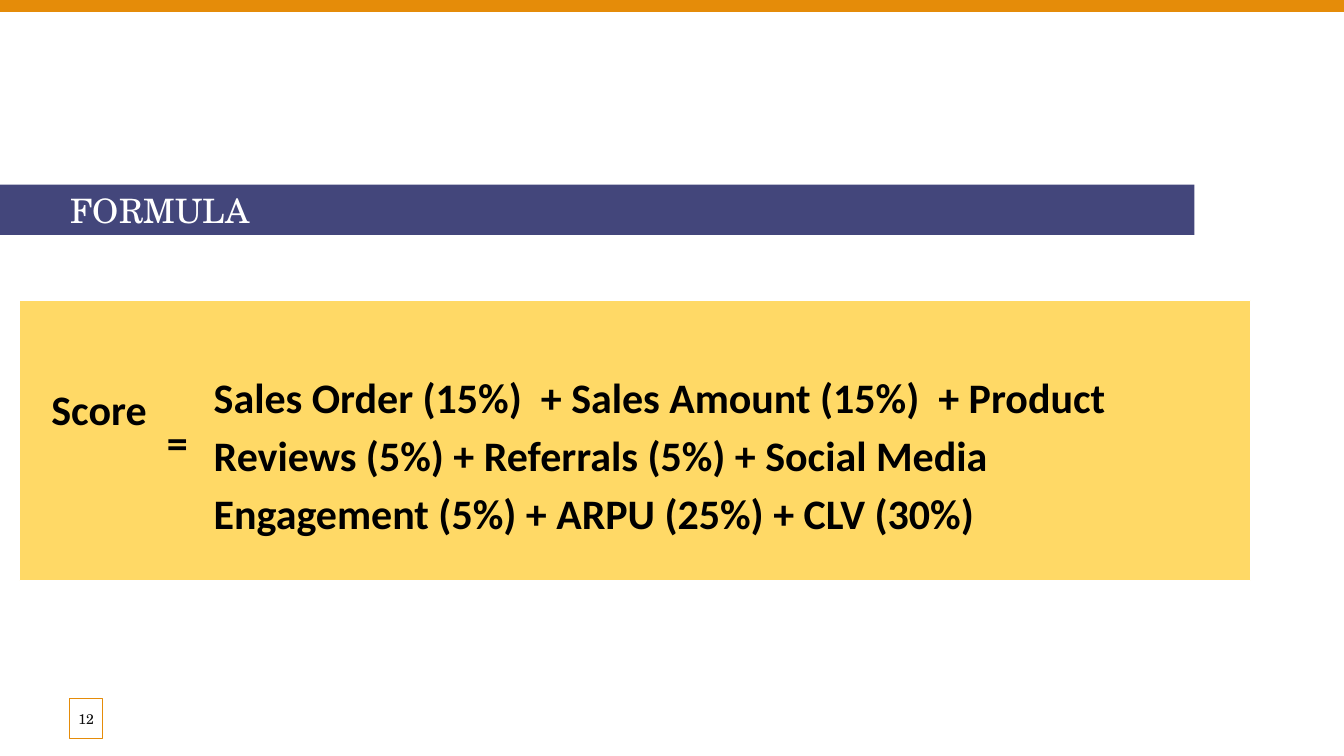
from pptx import Presentation
from pptx.dml.color import RGBColor
from pptx.enum.shapes import MSO_SHAPE as SHAPE
from pptx.enum.text import MSO_ANCHOR as ANCHOR, MSO_AUTO_SIZE as AUTO, PP_ALIGN as ALIGN
from pptx.util import Pt

# Content
TITLE = "FORMULA"
PAGE = "12"
SERIF = "TeX Gyre Schola"
BODY = {"name": "Calibri", "size": Pt(30), "bold": True}
# text, left, top, width, space above the text, lines, alignment
FORMULA = [
    ("Sales Order (15%)  + Sales Amount (15%)  + Product Reviews (5%) + "
     "Referrals (5%) + Social Media Engagement (5%) + ARPU (25%) + CLV (30%)",
     145.6, 210.2, 720.7, 49.8, 3, ALIGN.LEFT),
    ("Score", 29.6, 208.8, 97.2, 85.6, 1, ALIGN.LEFT),
    ("=", 91.4, 214.6, 70.6, 121.2, 1, ALIGN.CENTER),
]
LINE_HEIGHT = 42
INSET = 7.2


def rgb(value):
    return RGBColor.from_string(value)


def place(sp, left, top, width, height):
    for name, value in zip(("left", "top", "width", "height"), (left, top, width, height)):
        setattr(sp, name, Pt(value))


def add_rect(left, top, width, height, fill, line=None):
    sp = s.shapes.add_shape(SHAPE.RECTANGLE, Pt(left), Pt(top), Pt(width), Pt(height))
    sp.shadow.inherit = False
    sp.fill.solid()
    sp.fill.fore_color.rgb = rgb(fill)
    if line:
        sp.line.color.rgb = rgb(line)
        sp.line.width = Pt(0.75)
    else:
        sp.line.fill.background()
    return sp


def write(sp, text, font, color, align, margins, frame):
    tf = sp.text_frame
    for side, value in zip(("left", "top", "right", "bottom"), margins):
        setattr(tf, f"margin_{side}", Pt(value))
    for name, value in frame.items():
        setattr(tf, name, value)
    p = tf.paragraphs[0]
    p.alignment = align
    r = p.add_run()
    r.text = text
    for name, value in font.items():
        setattr(r.font, name, value)
    r.font.color.rgb = rgb(color)
    return p


prs = Presentation()
prs.slide_width, prs.slide_height = Pt(960), Pt(540)
s = prs.slides.add_slide(prs.slide_layouts[5])

# Top band
add_rect(0, 0, 960, 8.6, "E58C09")

# Title bar
title = s.shapes.title
place(title, 0, 131.8, 853.2, 36)
title.fill.solid()
title.fill.fore_color.rgb = rgb("43467B")
write(title, TITLE, {"name": SERIF, "size": Pt(24)}, "FFFFFF", ALIGN.LEFT,
      (50.4, 3.6, 7.2, 3.6),
      {"vertical_anchor": ANCHOR.TOP, "auto_size": AUTO.NONE, "word_wrap": True})

# Page number
number = add_rect(49.7, 499, 23.8, 28.8, "FFFFFF", "E58C09")
write(number, PAGE, {"name": SERIF, "size": Pt(10)}, "0C0C0C", ALIGN.CENTER,
      (0, 3.6, 0, 3.6), {"vertical_anchor": ANCHOR.MIDDLE, "word_wrap": True})

# Formula panel
add_rect(13.7, 214.6, 879.8, 200.2, "FFD966", "FFFFFF")
for text, left, top, width, above, lines, align in FORMULA:
    height = above + lines * LINE_HEIGHT + INSET
    box = s.shapes.add_textbox(Pt(left), Pt(top), Pt(width), Pt(height))
    p = write(box, text, BODY, "000000", align, (INSET, above, INSET, INSET),
              {"vertical_anchor": ANCHOR.TOP, "word_wrap": True})
    p.line_spacing = 1.15

prs.save("out.pptx")
